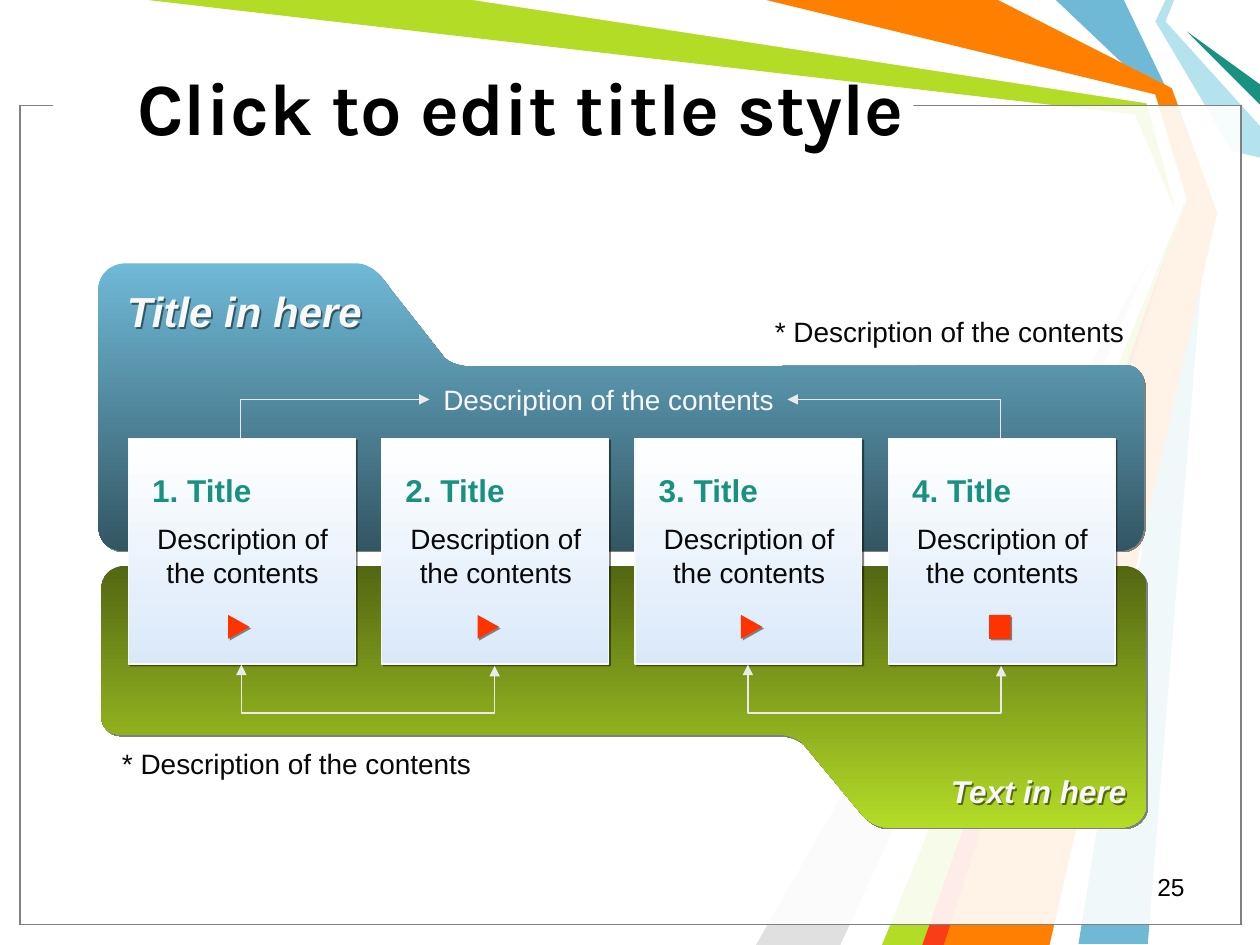
from lxml import etree
from pptx import Presentation
from pptx.dml.color import RGBColor
from pptx.enum.shapes import MSO_CONNECTOR, MSO_SHAPE
from pptx.enum.text import MSO_ANCHOR, PP_ALIGN
from pptx.oxml.ns import qn
from pptx.util import Inches, Pt

RECT, TRIANGLE = MSO_SHAPE.RECTANGLE, MSO_SHAPE.ISOSCELES_TRIANGLE
ELBOW = MSO_CONNECTOR.ELBOW
LEFT, CENTER, RIGHT = PP_ALIGN.LEFT, PP_ALIGN.CENTER, PP_ALIGN.RIGHT
TOP, MIDDLE = MSO_ANCHOR.TOP, MSO_ANCHOR.MIDDLE

WHITE = RGBColor(0xFF, 0xFF, 0xFF)
BLACK = RGBColor(0, 0, 0)
INK = RGBColor(0x08, 0x08, 0x08)
PALE = RGBColor(0xF8, 0xF8, 0xF8)
WIRE = RGBColor(0xEA, 0xEA, 0xEA)
SILVER = RGBColor(0xE0, 0xE0, 0xE0)
GRAY = RGBColor(0x80, 0x80, 0x80)
BLUE = RGBColor(0x6F, 0xB9, 0xD7)
DEEP_BLUE = RGBColor(0x33, 0x56, 0x63)
LIME = RGBColor(0xB3, 0xDC, 0x27)
OLIVE = RGBColor(0x53, 0x66, 0x12)
AQUA = RGBColor(0xB4, 0xE3, 0xEE)
TEAL = RGBColor(0x18, 0x91, 0x80)
ORANGE = RGBColor(0xFF, 0x7F, 0x00)
RED = RGBColor(0xF9, 0x3D, 0x17)
MARKER = RGBColor(0xFF, 0x33, 0x00)
ICE = RGBColor(0xDA, 0xE9, 0xFA)


class Deck:
    font = "Arial"
    line_width = Pt(0.74)

    def __init__(self, width, height):
        self.prs = Presentation()
        self.prs.slide_width, self.prs.slide_height = Inches(width), Inches(height)
        self.slide = self.prs.slides.add_slide(self.prs.slide_layouts[6])
        self.shapes = self.slide.shapes

    def cast(self, shape, color, opacity=100):
        shape.shadow.inherit = False
        effects = shape._element.spPr.find(qn("a:effectLst"))
        shadow = etree.SubElement(effects, qn("a:outerShdw"), dist=str(Pt(1.4)),
                                  dir="2700000", algn="tl", rotWithShape="0")
        tint = etree.SubElement(shadow, qn("a:srgbClr"), val=str(color))
        etree.SubElement(tint, qn("a:alpha"), val=str(opacity * 1000))

    def paint(self, shape, fill, line=None, shadow=None, opacity=100):
        """fill is one colour, or a (top, bottom) pair for a gradient."""
        if isinstance(fill, RGBColor):
            shape.fill.solid()
            shape.fill.fore_color.rgb = fill
        else:
            shape.fill.gradient()
            shape.fill.gradient_angle = 270
            for stop, color in zip(shape.fill.gradient_stops, fill):
                stop.color.rgb = color
        if opacity < 100:
            tint = shape._element.spPr.find(".//" + qn("a:srgbClr"))
            etree.SubElement(tint, qn("a:alpha"), val=str(opacity * 1000))
        if line is None:
            shape.line.fill.background()
        else:
            shape.line.color.rgb = line
            shape.line.width = self.line_width
        shape.shadow.inherit = False
        if shadow:
            self.cast(shape, *shadow)

    def box(self, kind, left, top, width, height, fill, rotation=0, **style):
        shape = self.shapes.add_shape(kind, Inches(left), Inches(top),
                                      Inches(width), Inches(height))
        shape.rotation = rotation
        self.paint(shape, fill, **style)

    def outline(self, parts, fill, **style):
        """Each part is a point, or the six numbers of a Bezier curve."""
        points = []
        for part in parts:
            if len(part) == 2:
                points.append(part)
                continue
            curve = [points[-1], part[:2], part[2:4], part[4:]]
            for step in range(1, 13):
                t = step / 12
                weights = ((1 - t) ** 3, 3 * t * (1 - t) ** 2, 3 * t * t * (1 - t), t ** 3)
                points.append(tuple(sum(w * p[axis] for w, p in zip(weights, curve))
                                    for axis in (0, 1)))
        emu = [(Inches(x), Inches(y)) for x, y in points]
        builder = self.shapes.build_freeform(*emu[0], scale=1.0)
        builder.add_line_segments(emu[1:], close=True)
        self.paint(builder.convert_to_shape(), fill, **style)

    def text(self, words, left, top, width, height, size, color, align=LEFT, font=None,
             bold=False, italic=False, wrap=True, before=0, anchor=TOP, shadow=None):
        label = self.shapes.add_textbox(Inches(left), Inches(top),
                                        Inches(width), Inches(height))
        frame = label.text_frame
        frame.word_wrap, frame.vertical_anchor = wrap, anchor
        paragraph = frame.paragraphs[0]
        paragraph.text = words
        paragraph.alignment, paragraph.space_before = align, Pt(before)
        style = paragraph.font
        style.name, style.size, style.bold, style.italic = font or self.font, Pt(size), bold, italic
        style.color.rgb = color
        if shadow:
            self.cast(label, shadow)

    def elbow(self, start, end, preset, arrows, turn=None, bend=None):
        link = self.shapes.add_connector(ELBOW, *map(Inches, start + end))
        link.line.color.rgb, link.line.width = WIRE, self.line_width
        props = link._element.spPr
        geometry = props.find(qn("a:prstGeom"))
        geometry.set("prst", preset)
        if turn:
            props.find(qn("a:xfrm")).set("rot", str(turn * 60000))
        if bend:
            guides = geometry.find(qn("a:avLst"))
            etree.SubElement(guides, qn("a:gd"), name="adj1", fmla=f"val {bend}")
        for arrow in arrows:
            etree.SubElement(props.find(qn("a:ln")), qn(arrow), type="triangle")
        etree.SubElement(props, qn("a:effectLst"))


deck = Deck(10, 7.5)

# Background ribbons
RIBBONS = [
    (BLUE, [(8.92, 0), (9.29, 0.77), (9.58, 1.67), (9.11, 7.49), (8.56, 7.49),
            (9.5, 1.67), (9.17, 0.75), (8.38, 0)]),
    (LIME, [(1.17, 0), (3.83, 0), (9.14, 0.78), (9.42, 1.69), (7.42, 7.5),
            (6.92, 7.5), (9.35, 1.73), (9.01, 0.91)]),
    (SILVER, [(6.67, 7.5), (9.27, 1.81), (6, 7.5)]),
    (WHITE, [(3.75, 0), (9.1, 0.82), (9.32, 1.62), (6.75, 7.5), (7, 7.5),
             (9.41, 1.58), (9.17, 0.75), (6, 0)]),
    (AQUA, [(9.25, 0), (9.17, 0.17), (9.78, 1.2), (10, 1.25), (10, 1),
            (9.25, 0.17), (9.32, 0)]),
    (TEAL, [(10, 0.83), (9.42, 0.25), (10, 0.67)]),
    (ORANGE, [(6.08, 0), (7.92, 0), (9.3, 0.7), (9.66, 1.69), (8.33, 7.5),
              (7.33, 7.5), (9.42, 1.58), (9.17, 0.75)]),
    (RED, [(7.32, 7.5), (9.32, 1.83), (7.49, 7.5)]),
]
for color, points in RIBBONS:
    deck.outline(points, color)

# Translucent frame and title
for border in (BLACK, GRAY):
    deck.box(RECT, 0.16, 0.84, 9.69, 6.5, WHITE, line=border, opacity=69)
deck.box(RECT, 0.42, 0.74, 6.83, 0.17, WHITE)
deck.text("Click to edit title style", 0.99, 0.22, 6.89, 1.25, 42, BLACK,
          font="Karla", bold=True, anchor=MIDDLE)

# Folder panels
LOWER = [(0.95, 5.83), (6.16, 5.83), (6.25, 5.83, 6.32, 5.85, 6.38, 5.91), (6.77, 6.38),
         (6.84, 6.46, 6.91, 6.58, 7.09, 6.57), (8.88, 6.57),
         (9.03, 6.57, 9.11, 6.47, 9.1, 6.35), (9.1, 4.68),
         (9.11, 4.47, 8.88, 4.49, 8.88, 4.49), (1.03, 4.49),
         (1.03, 4.49, 0.79, 4.46, 0.8, 4.72), (0.8, 5.66),
         (0.8, 5.66, 0.79, 5.83, 0.95, 5.83)]
UPPER = [(8.94, 2.9), (3.72, 2.91), (3.63, 2.9, 3.56, 2.88, 3.51, 2.82), (3.11, 2.31),
         (3.04, 2.22, 2.97, 2.08, 2.8, 2.09), (1, 2.09),
         (0.86, 2.09, 0.77, 2.2, 0.78, 2.33), (0.78, 4.15),
         (0.77, 4.39, 1, 4.37, 1, 4.37), (8.86, 4.37),
         (8.86, 4.37, 9.09, 4.4, 9.08, 4.12), (9.08, 3.09),
         (9.08, 3.09, 9.09, 2.9, 8.94, 2.9)]
deck.outline(LOWER, (OLIVE, LIME), shadow=(GRAY,))
deck.outline(UPPER, (BLUE, DEEP_BLUE), shadow=(GRAY,))
deck.text("Title in here", 0.91, 2.22, 2.43, 0.5, 24, PALE, bold=True, italic=True,
          shadow=DEEP_BLUE)
deck.text("Text in here", 6.61, 6.08, 2.43, 0.4, 18, PALE, RIGHT, bold=True, italic=True,
          shadow=OLIVE)

# Step cards
PITCH = 2.01
MARKERS = [(TRIANGLE, 1.8), (TRIANGLE, 3.78), (TRIANGLE, 5.87), (RECT, 7.84)]
for index, (marker, marker_left) in enumerate(MARKERS):
    left = 1.02 + PITCH * index
    deck.box(RECT, left, 3.48, 1.8, 1.79, (WHITE, ICE), line=PALE, shadow=(INK, 50))
    deck.text(f"{index + 1}. Title", left + 0.09, 3.69, 1.2, 0.4, 18, TEAL, bold=True)
    deck.text("Description of the contents", left + 0.01, 4.09, 1.79, 0.64, 16, INK,
              CENTER, before=10)
    deck.box(marker, marker_left, 4.89, 0.19, 0.17, MARKER, rotation=90, shadow=(GRAY,))

# Links above the cards, then below each pair
for inner, outer in ((3.41, 1.91), (6.25, 7.94)):
    deck.elbow((inner, 3.17), (outer, 3.48), "bentConnector2", ["a:headEnd"])
for middle in (2.92, 6.94):
    deck.elbow((middle + 0.005, 5.28 - PITCH / 2), (middle - 0.005, 5.28 + PITCH / 2),
               "bentConnector3", ["a:headEnd", "a:tailEnd"], turn=270, bend=3900000)

# Captions and page number
deck.text("Description of the contents", 3.42, 2.99, 3, 0.37, 16, PALE, before=10)
deck.text("* Description of the contents", 5.92, 2.45, 3.1, 0.37, 16, INK, RIGHT, before=10)
deck.text("* Description of the contents", 0.87, 5.88, 3.1, 0.37, 16, INK, before=10)
deck.text("25", 7.17, 6.87, 2.33, 0.33, 14, BLACK, RIGHT)

deck.prs.save("out.pptx")
